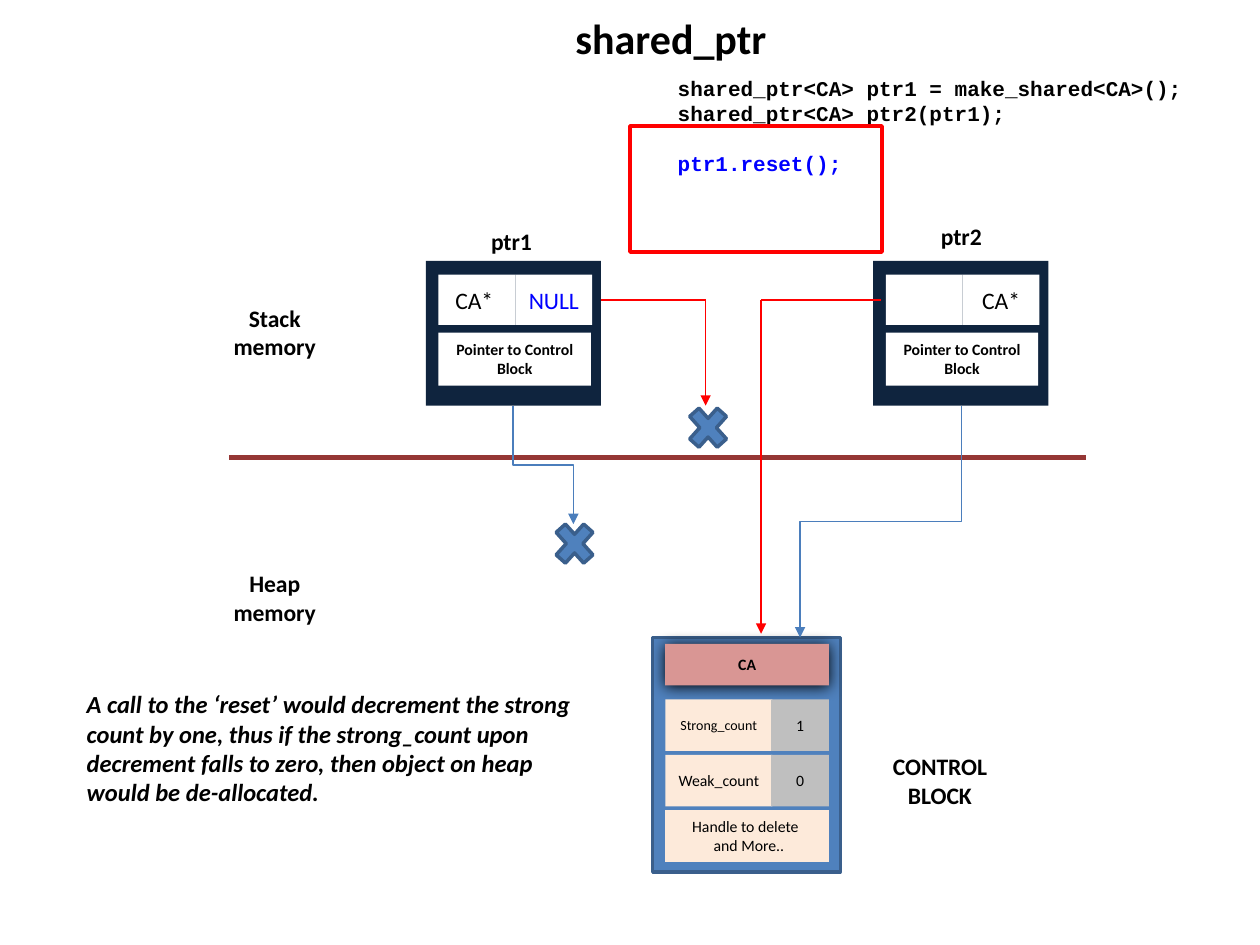
from pptx import Presentation
from pptx.dml.color import RGBColor
from pptx.enum.shapes import MSO_CONNECTOR, MSO_SHAPE
from pptx.enum.text import MSO_ANCHOR, PP_ALIGN
from pptx.oxml import parse_xml
from pptx.oxml.ns import nsdecls, qn
from pptx.util import Inches, Pt

RECT, CROSS = MSO_SHAPE.RECTANGLE, MSO_SHAPE.MATH_MULTIPLY
STRAIGHT, ELBOW = MSO_CONNECTOR.STRAIGHT, MSO_CONNECTOR.ELBOW
LEFT, CENTER = PP_ALIGN.LEFT, PP_ALIGN.CENTER
TOP, MIDDLE = MSO_ANCHOR.TOP, MSO_ANCHOR.MIDDLE

BLACK, WHITE, RED, BLUE = "000000", "FFFFFF", "FF0000", "0000FF"
NAVY, STEEL, STEEL_EDGE, ARROW_BLUE = "0F243E", "4F81BD", "3A5F8C", "4B7EBC"
PEACH, GRAY, ROSE, MAROON = "FDEADA", "BFBFBF", "D99694", "953735"

# Each segment holds two control points and an end point.
RING_START = (5.19, 1.19)
RING_CURVES = [
    ((5.3, 1.19), (5.4, 1.18), (5.51, 1.18)),
    ((5.56, 1.17), (5.6, 1.16), (5.65, 1.16)),
    ((5.97, 1.17), (6.29, 1.18), (6.62, 1.19)),
    ((6.62, 1.21), (6.65, 1.3), (6.65, 1.32)),
    ((6.65, 1.38), (6.64, 1.43), (6.63, 1.49)),
    ((6.63, 1.5), (6.62, 1.51), (6.6, 1.51)),
    ((6.27, 1.53), (5.95, 1.52), (5.62, 1.53)),
    ((5.49, 1.55), (5.41, 1.57), (5.26, 1.53)),
    ((5.22, 1.52), (5.18, 1.44), (5.18, 1.44)),
    ((5.15, 1.37), (5.14, 1.35), (5.18, 1.25)),
    ((5.18, 1.24), (5.21, 1.24), (5.22, 1.24)),
    ((5.24, 1.23), (5.26, 1.21), (5.26, 1.21)),
]


def rgb(color):
    return RGBColor.from_string(color)


def set_line(line, color, width):
    line.color.rgb = rgb(color)
    line.width = Pt(width)


def write(frame, lines, size, color=BLACK, bold=False, italic=False,
          font="Calibri", align=CENTER, anchor=TOP):
    frame.word_wrap = True
    frame.vertical_anchor = anchor
    for index, line in enumerate(lines):
        paragraph = frame.add_paragraph() if index else frame.paragraphs[0]
        paragraph.alignment = align
        run = paragraph.add_run()
        run.text = line
        run.font.name, run.font.size = font, Pt(size)
        run.font.bold, run.font.italic = bold, italic
        run.font.color.rgb = rgb(color)


def add_label(slide, box, text, size=13.5, **style):
    label = slide.shapes.add_textbox(*map(Inches, box))
    write(label.text_frame, [text], size, bold=True, **style)


def add_block(shapes, box, fill, edge=None, kind=RECT):
    block = shapes.add_shape(kind, *map(Inches, box))
    block.shadow.inherit = False
    block.fill.solid()
    block.fill.fore_color.rgb = rgb(fill)
    if edge:
        set_line(block.line, edge, 2)
    else:
        block.line.fill.background()
    return block


def add_cell(shapes, box, fill, lines, size=9, **style):
    cell = add_block(shapes, box, fill)
    frame = cell.text_frame
    frame.margin_left = frame.margin_right = Inches(0.07)
    frame.margin_top = frame.margin_bottom = Inches(0.04)
    write(frame, lines, size, anchor=MIDDLE, **style)
    return cell


def add_pointer(slide, left, raw_cells):
    """Smart pointer: two raw pointer cells above the control block cell."""
    top = 2.07
    shapes = slide.shapes.add_group_shape().shapes
    add_block(shapes, (left, top, 1.39, 1.15), NAVY)
    for column, (text, color) in enumerate(raw_cells):
        box = (left + 0.1 + 0.61 * column, top + 0.11, 0.61, 0.4)
        if text:
            add_cell(shapes, box, WHITE, [text], 13.5, color=color)
        else:
            add_block(shapes, box, WHITE)
    add_cell(shapes, (left + 0.1, top + 0.57, 1.21, 0.42), WHITE,
             ["Pointer to Control Block"], bold=True)


def add_control_block(slide):
    shapes = slide.shapes.add_group_shape().shapes
    left, first_row, pitch, height = 5.28, 5.55, 0.44, 0.41
    add_block(shapes, (5.18, 5.06, 1.49, 1.86), STEEL, STEEL_EDGE)
    managed = add_cell(shapes, (left, 5.11, 1.3, 0.33), ROSE, ["CA"], bold=True)
    effects = managed._element.spPr.find(qn("a:effectLst"))
    effects.append(parse_xml(
        f'<a:outerShdw {nsdecls("a")} blurRad="{Pt(8.5)}" dist="{Pt(1)}" '
        'dir="5400000" rotWithShape="0"><a:srgbClr val="000000"/></a:outerShdw>'))
    counters = [("Strong_count", 8, "1"), ("Weak_count", 9, "0")]
    for row, (name, size, count) in enumerate(counters):
        top = first_row + pitch * row
        add_cell(shapes, (left, top, 0.85, height), PEACH, [name], size)
        add_cell(shapes, (left + 0.84, top, 0.46, height), GRAY, [count])
    add_cell(shapes, (left, first_row + pitch * len(counters), 1.3, height),
             PEACH, ["Handle to delete ", " and More.."])


def add_line(slide, start, end, color, width=0.75, arrow=False, kind=STRAIGHT):
    line = slide.shapes.add_connector(kind, *map(Inches, (*start, *end)))
    set_line(line.line, color, width)
    if arrow:
        line.line._get_or_add_ln().append(
            parse_xml(f'<a:tailEnd {nsdecls("a")} type="triangle"/>'))
    line._element.spPr.append(parse_xml(f'<a:effectLst {nsdecls("a")}/>'))
    return line


def add_drop_arrow(slide, start, end):
    """Elbow that leaves downwards, crosses at mid height and drops again."""
    (x1, y1), (x2, y2) = start, end
    middle_x, middle_y = (x1 + x2) / 2, (y1 + y2) / 2
    half_length, half_breadth = (y2 - y1) / 2, abs(x2 - x1) / 2
    side = 1 if x2 > x1 else -1
    arrow = add_line(
        slide,
        (middle_x + side * half_length, middle_y - half_breadth),
        (middle_x - side * half_length, middle_y + half_breadth),
        ARROW_BLUE, arrow=True, kind=ELBOW)
    turn = 270 if side > 0 else 90
    arrow._element.spPr.find(qn("a:xfrm")).set("rot", str(turn * 60000))


def curve_points(start, curves, steps=8):
    points = []
    for first, second, end in curves:
        for step in range(1, steps + 1):
            t = step / steps
            weights = ((1 - t) ** 3, 3 * t * (1 - t) ** 2, 3 * t * t * (1 - t), t ** 3)
            corners = (start, first, second, end)
            points.append(tuple(sum(w * corner[axis] for w, corner in zip(weights, corners))
                                for axis in (0, 1)))
        start = end
    return points


def add_ring(slide):
    builder = slide.shapes.build_freeform(*RING_START, scale=Inches(1))
    builder.add_line_segments(curve_points(RING_START, RING_CURVES), close=False)
    ring = builder.convert_to_shape()
    ring.shadow.inherit = False
    ring.fill.background()
    set_line(ring.line, RED, 2)


def add_title(slide, text):
    title = slide.shapes.title
    title.left, title.top, title.width, title.height = map(Inches, (4.37, 0.05, 1.91, 0.5))
    write(title.text_frame, [text], 24, bold=True)


def add_code(slide):
    code = slide.shapes.add_textbox(*map(Inches, (5.28, 0.55, 4.52, 1.11))).text_frame
    write(code, ["shared_ptr<CA> ptr1 = make_shared<CA>();",
                 "shared_ptr<CA> ptr2(ptr1);", "ptr1.reset();"],
          12, bold=True, font="Courier New", align=LEFT)
    reset_call = code.paragraphs[-1]
    reset_call.space_before = Pt(14)
    reset_call.runs[0].font.color.rgb = rgb(BLUE)


def main():
    deck = Presentation()
    deck.slide_width, deck.slide_height = Inches(10), Inches(7.5)
    slide = deck.slides.add_slide(deck.slide_layouts[5])

    add_pointer(slide, 6.93, [("", BLACK), ("CA*", BLACK)])
    add_pointer(slide, 3.38, [("CA* ", BLACK), ("NULL", BLUE)])
    add_control_block(slide)
    add_label(slide, (6.92, 5.92, 1.08, 0.56), "CONTROL BLOCK")
    add_line(slide, (1.82, 3.63), (8.62, 3.63), MAROON, 3)
    add_label(slide, (1.64, 2.36, 1.08, 0.56), "Stack memory")
    add_label(slide, (1.64, 4.47, 1.08, 0.56), "Heap memory")
    add_label(slide, (3.78, 1.75, 0.56, 0.33), "ptr1")
    add_label(slide, (7.35, 1.71, 0.56, 0.33), "ptr2")

    for exit_x, turn_x, target_y in ((4.77, 5.6, 3.22), (6.99, 6.04, 5.03)):
        add_line(slide, (exit_x, 2.38), (turn_x, 2.38), RED)
        add_line(slide, (turn_x, 2.38), (turn_x, target_y), RED, arrow=True)
    add_drop_arrow(slide, (4.07, 3.22), (4.55, 4.16))
    add_drop_arrow(slide, (7.63, 3.22), (6.35, 5.06))

    add_title(slide, "shared_ptr")
    add_code(slide)
    for left, top in ((5.41, 3.16), (4.35, 4.08)):
        add_block(slide.shapes, (left, top, 0.42, 0.47), STEEL, STEEL_EDGE, CROSS)
    add_ring(slide)
    add_label(slide, (0.59, 5.42, 4.14, 1.04),
              "A call to the ‘reset’ would decrement the strong count by one, "
              "thus if the strong_count upon decrement falls to zero, then object "
              "on heap would be de-allocated.", 14, italic=True, align=LEFT)
    deck.save("out.pptx")


if __name__ == "__main__":
    main()
